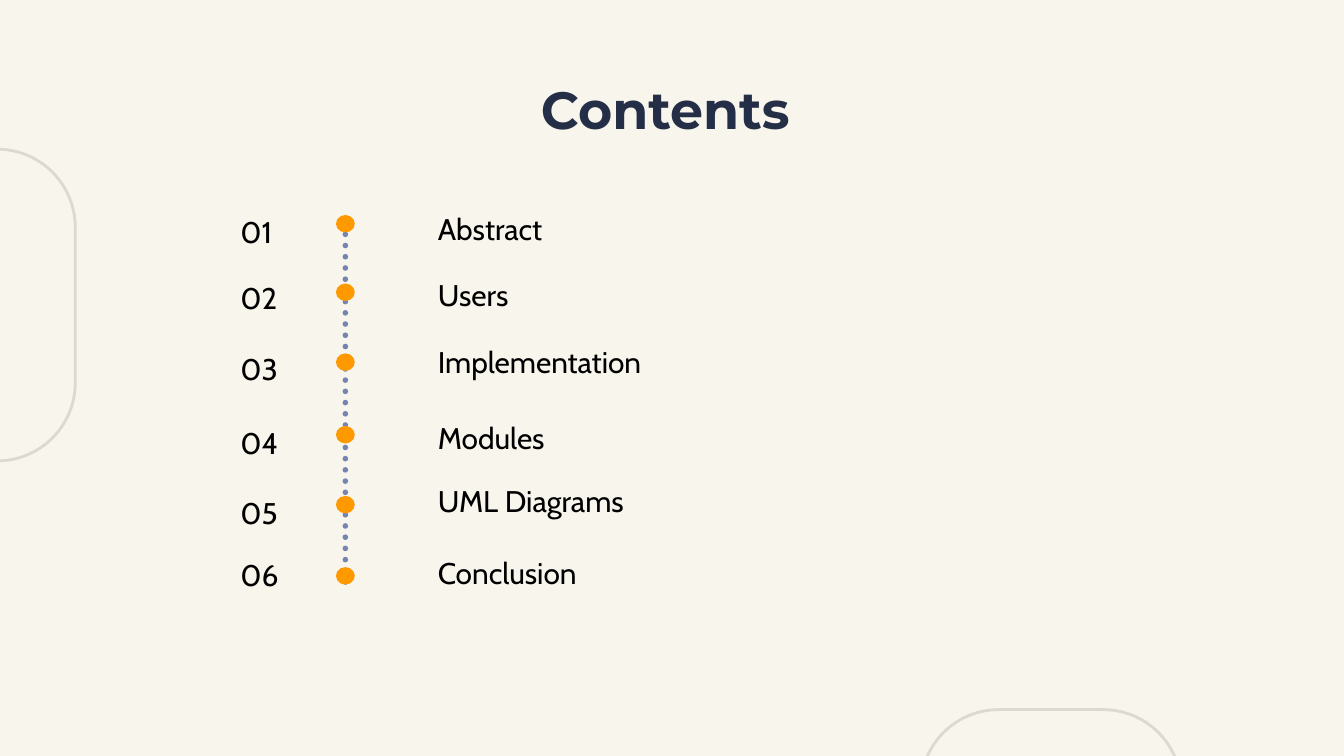
import pptx
import pptx.util
import pptx.dml.color
import pptx.enum.dml
import pptx.enum.shapes
import pptx.enum.text
import pptx.oxml.ns
from lxml import etree

Inches, Pt = pptx.util.Inches, pptx.util.Pt
SHAPE = pptx.enum.shapes.MSO_SHAPE
ALIGN = pptx.enum.text.PP_ALIGN
ANCHOR = pptx.enum.text.MSO_ANCHOR
qn = pptx.oxml.ns.qn

COLORS = {
    "background": "F8F5EC",
    "frame": "DADACE",
    "title": "252E47",
    "text": "000000",
    "timeline": "556AA3",
    "dot": "FF9900",
}

# Entry, then the tops of its number, dot and label
ENTRIES = [
    ("Abstract", 1.46, 1.6, 1.44),
    ("Users", 1.95, 2.11, 1.93),
    ("Implementation", 2.48, 2.63, 2.43),
    ("Modules", 3.03, 3.17, 2.99),
    ("UML Diagrams", 3.55, 3.69, 3.46),
    ("Conclusion", 4.01, 4.22, 4.0),
]


def rgb(name):
    return pptx.dml.color.RGBColor.from_string(COLORS[name])


def add_frame(s, left, top):
    """Outlined rounded rectangle that runs off the slide edge."""
    sp = s.shapes.add_shape(SHAPE.ROUNDED_RECTANGLE, Inches(left), Inches(top),
                            Inches(1.94), Inches(2.32))
    sp.adjustments[0] = 0.3
    sp.shadow.inherit = False
    sp.fill.background()
    sp.line.color.rgb = rgb("frame")
    sp.line.width = Pt(1.5)


def add_text(s, text, left, top, width, height, size=16, font="Cabin",
             color="text", bold=False, align=ALIGN.LEFT, anchor=ANCHOR.TOP,
             spacing=1.3, inset_y=0.05):
    sp = s.shapes.add_textbox(Inches(left), Inches(top), Inches(width), Inches(height))
    tf = sp.text_frame
    tf.word_wrap = True
    tf.vertical_anchor = anchor
    tf.margin_top = tf.margin_bottom = Inches(inset_y)
    p = tf.paragraphs[0]
    p.text = text
    p.alignment = align
    p.line_spacing = spacing
    p.font.name = font
    p.font.size = Pt(size)
    p.font.bold = bold
    p.font.color.rgb = rgb(color)


def add_timeline(s, x, top, bottom):
    """Vertical line of round, slightly transparent dots."""
    line = s.shapes.add_connector(pptx.enum.shapes.MSO_CONNECTOR.STRAIGHT,
                                  Inches(x), Inches(top), Inches(x), Inches(bottom))
    line.line.width = Pt(3)
    line.line.color.rgb = rgb("timeline")
    line.line.dash_style = pptx.enum.dml.MSO_LINE.ROUND_DOT
    ln = line._element.spPr.find(qn("a:ln"))
    ln.set("cap", "rnd")
    etree.SubElement(ln.find(".//" + qn("a:srgbClr")), qn("a:alpha"), val="80000")
    etree.SubElement(line._element.spPr, qn("a:effectLst"))


def add_dot(s, left, top):
    sp = s.shapes.add_shape(SHAPE.OVAL, Inches(left), Inches(top),
                            Inches(0.14), Inches(0.13))
    sp.shadow.inherit = False
    sp.fill.solid()
    sp.fill.fore_color.rgb = rgb("dot")
    sp.line.fill.background()


def main():
    # Widescreen slide, 16:9
    prs = pptx.Presentation()
    prs.slide_width = Inches(10)
    prs.slide_height = Inches(10) * 9 // 16
    s = prs.slides.add_slide(prs.slide_layouts[6])
    s.background.fill.solid()
    s.background.fill.fore_color.rgb = rgb("background")

    # Decorative frames
    add_frame(s, -1.38, 1.11)
    add_frame(s, 6.85, 5.28)

    # Title
    add_text(s, "Contents ", 0.79, 0.49, 8.43, 0.63, size=28, font="Montserrat",
             color="title", bold=True, align=ALIGN.CENTER, anchor=ANCHOR.MIDDLE,
             spacing=1.0, inset_y=0.1)

    # Numbered entries along the timeline
    add_timeline(s, 2.57, 1.66, 4.35)
    for i, (label, number_top, dot_top, label_top) in enumerate(ENTRIES, 1):
        add_text(s, f"{i:02d}", 1.69, number_top, 0.81, 0.42)
        add_dot(s, 2.5, dot_top)
        add_text(s, label, 3.16, label_top, 2.57, 0.42)

    prs.save("out.pptx")


if __name__ == "__main__":
    main()
